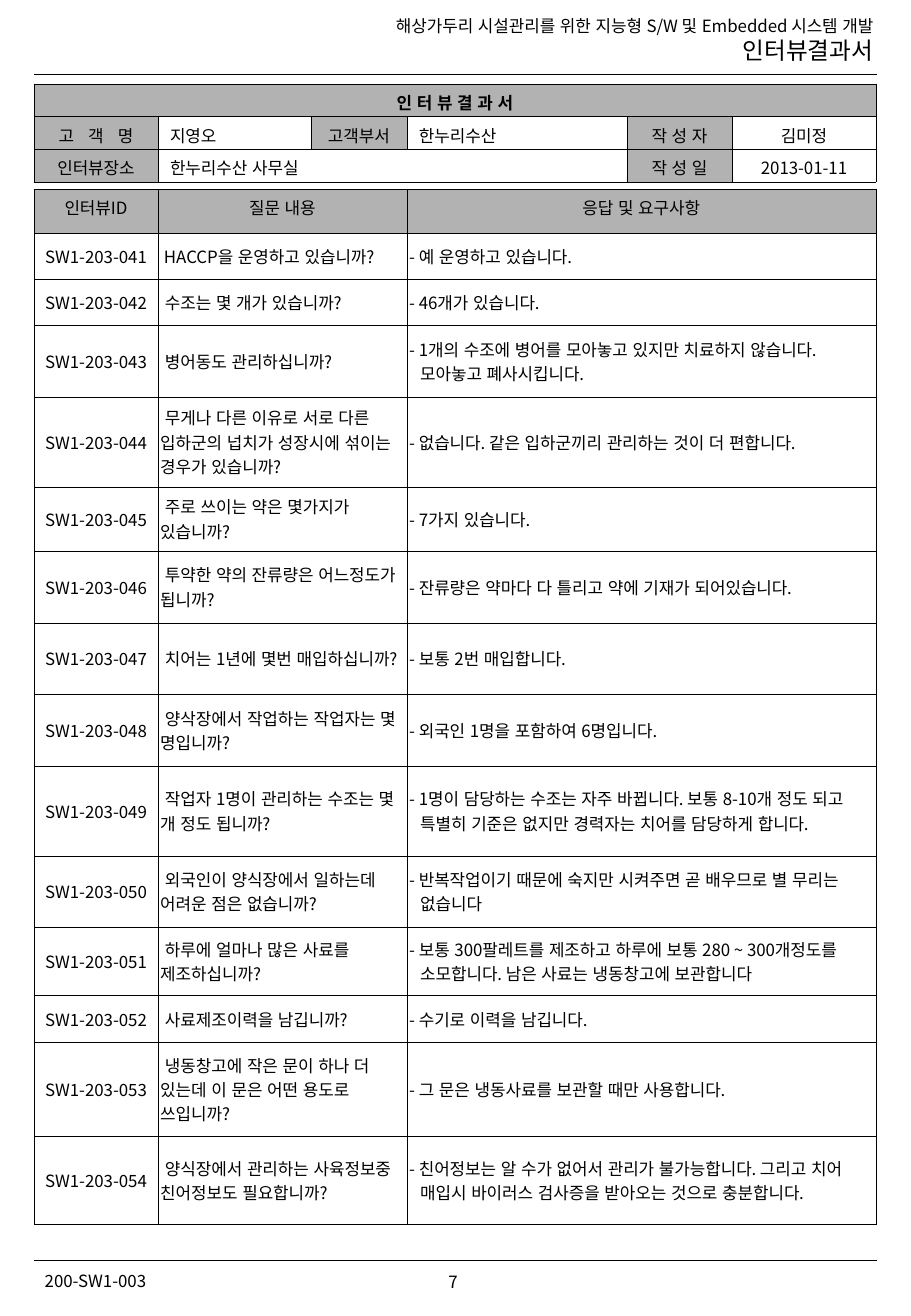
from lxml import etree
from pptx import Presentation
from pptx.dml.color import RGBColor
from pptx.enum.lang import MSO_LANGUAGE_ID
from pptx.enum.shapes import MSO_CONNECTOR
from pptx.enum.text import MSO_ANCHOR, MSO_AUTO_SIZE, PP_ALIGN
from pptx.oxml.ns import qn
from pptx.util import Inches, Pt

LEFT, CENTER, RIGHT = PP_ALIGN.LEFT, PP_ALIGN.CENTER, PP_ALIGN.RIGHT
TOP, MIDDLE = MSO_ANCHOR.TOP, MSO_ANCHOR.MIDDLE
KOREAN = MSO_LANGUAGE_ID.KOREAN
STRAIGHT = MSO_CONNECTOR.STRAIGHT
NO_AUTO_SIZE = MSO_AUTO_SIZE.NONE
FONT, BLACK, GRAY = "Noto Sans CJK KR", "000000", "B2B2B2"


def write(para, text, align, size=10, bold=False, before=0):
    para.alignment = align
    para.space_before = Pt(before)
    # Keep closing punctuation inside the text area
    para._p.get_or_add_pPr().set("hangingPunct", "0")
    span = para.add_run()
    span.text = text
    span.font.color.rgb = RGBColor.from_string(BLACK)
    looks = {"name": FONT, "size": Pt(size), "bold": bold, "language_id": KOREAN}
    for name, value in looks.items():
        setattr(span.font, name, value)
    etree.SubElement(span.font._element, qn("a:ea"), typeface=FONT)


def format_cell(cell, shaded, anchor, side_margin):
    layout = {"vertical_anchor": anchor,
              "margin_left": Inches(side_margin), "margin_right": Inches(side_margin),
              "margin_top": Inches(0.05), "margin_bottom": Inches(0.05)}
    for name, value in layout.items():
        setattr(cell, name, value)
    properties = cell._tc.get_or_add_tcPr()
    for side in ("lnL", "lnR", "lnT", "lnB"):
        border = etree.SubElement(properties, qn("a:" + side), w=str(Pt(0.11)))
        paint = etree.SubElement(border, qn("a:solidFill"))
        etree.SubElement(paint, qn("a:srgbClr"), val=BLACK)
    if shaded:
        cell.fill.solid()
        cell.fill.fore_color.rgb = RGBColor.from_string(GRAY)
    else:
        cell.fill.background()


deck = Presentation()
deck.slide_width, deck.slide_height = Inches(7.5), Inches(10.84)
page = deck.slides.add_slide(deck.slide_layouts[5])

# Header
header = page.shapes.title
place = {"left": 0.28, "top": 0.08, "width": 7.01, "height": 0.5}
for name, value in place.items():
    setattr(header, name, Inches(value))
frame = header.text_frame
frame.auto_size, frame.vertical_anchor, frame.word_wrap = NO_AUTO_SIZE, TOP, True
write(frame.paragraphs[0], "해상가두리 시설관리를 위한 지능형 S/W 및 Embedded 시스템 개발", RIGHT)
write(frame.add_paragraph(), "인터뷰결과서", RIGHT, size=14)

# Rules under the header and above the footer
for height in (0.61, 10.38):
    rule = page.shapes.add_connector(
        STRAIGHT, Inches(0.28), Inches(height), Inches(7.22), Inches(height))
    rule.line.color.rgb = RGBColor.from_string(BLACK)
    rule.line.width = Pt(0.25)
    etree.SubElement(rule._element.spPr, qn("a:effectLst"))

# Footer: document number and page number
footers = [
    ("200-SW1-003", (0.26, 10.42, 1.05, 0.27), TOP, 2.5),
    ("7", (3.32, 10.34, 0.82, 0.44), MIDDLE, 0),
]
for text, bounds, anchor, before in footers:
    box = page.shapes.add_textbox(*[Inches(length) for length in bounds])
    box.text_frame.word_wrap = False
    box.text_frame.vertical_anchor = anchor
    write(box.text_frame.paragraphs[0], text, CENTER, before=before)

# Interview questions and answers
interviews = [
    ("HACCP을 운영하고 있습니까?", "예 운영하고 있습니다.", 0.38),
    ("수조는 몇 개가 있습니까?", "46개가 있습니다.", 0.38),
    ("병어동도 관리하십니까?",
     "1개의 수조에 병어를 모아놓고 있지만 치료하지 않습니다. 모아놓고 폐사시킵니다.", 0.59),
    ("무게나 다른 이유로 서로 다른 입하군의 넙치가 성장시에 섞이는 경우가 있습니까?",
     "없습니다. 같은 입하군끼리 관리하는 것이 더 편합니다.", 0.74),
    ("주로 쓰이는 약은 몇가지가 있습니까?", "7가지 있습니다.", 0.53),
    ("투약한 약의 잔류량은 어느정도가 됩니까?",
     "잔류량은 약마다 다 틀리고 약에 기재가 되어있습니다.", 0.59),
    ("치어는 1년에 몇번 매입하십니까?", "보통 2번 매입합니다.", 0.59),
    ("양삭장에서 작업하는 작업자는 몇 명입니까?", "외국인 1명을 포함하여 6명입니다.", 0.59),
    ("작업자 1명이 관리하는 수조는 몇 개 정도 됩니까?",
     "1명이 담당하는 수조는 자주 바뀝니다. 보통 8-10개 정도 되고 "
     "특별히 기준은 없지만 경력자는 치어를 담당하게 합니다.", 0.74),
    ("외국인이 양식장에서 일하는데 어려운 점은 없습니까?",
     "반복작업이기 때문에 숙지만 시켜주면 곧 배우므로 별 무리는 없습니다", 0.59),
    ("하루에 얼마나 많은 사료를 제조하십니까?",
     "보통 300팔레트를 제조하고 하루에 보통 280 ~ 300개정도를 소모합니다. "
     "남은 사료는 냉동창고에 보관합니다", 0.56),
    ("사료제조이력을 남깁니까?", "수기로 이력을 남깁니다.", 0.39),
    ("냉동창고에 작은 문이 하나 더 있는데 이 문은 어떤 용도로 쓰입니까?",
     "그 문은 냉동사료를 보관할 때만 사용합니다.", 0.77),
    ("양식장에서 관리하는 사육정보중 친어정보도 필요합니까?",
     "친어정보는 알 수가 없어서 관리가 불가능합니다. 그리고 치어 매입시 "
     "바이러스 검사증을 받아오는 것으로 충분합니다.", 0.73),
]
rows = [("인터뷰ID", "질문 내용", "응답 및 요구사항", 0.36)]
for number, (question, answer, height) in enumerate(interviews, start=41):
    rows.append((f"SW1-203-{number:03}", " " + question, "- " + answer, height))

interview_table = page.shapes.add_table(
    len(rows), 3, Inches(0.28), Inches(1.56), Inches(6.93), Inches(8.51)).table
interview_table.first_row = interview_table.horz_banding = False
for column, width in zip(interview_table.columns, (1.02, 2.05, 3.86)):
    column.width = Inches(width)
for row, (*texts, height) in enumerate(rows):
    interview_table.rows[row].height = Inches(height)
    for column, text in enumerate(texts):
        heading = row == 0
        cell = interview_table.cell(row, column)
        format_cell(cell, heading, TOP if heading else MIDDLE, 0.02)
        para = cell.text_frame.paragraphs[0]
        write(para, text, CENTER if heading or column == 0 else LEFT)
        if column == 2 and not heading:
            # Wrapped answers hang by the width of the dash
            hang = Inches(0.09 if len(text) > 35 else 0.19)
            indents = para._p.get_or_add_pPr()
            indents.set("marL", str(hang))
            indents.set("indent", str(-hang))

# Customer and author details
details = [
    ["인 터 뷰 결 과 서", "", "", "", "", ""],
    ["고   객   명", "지영오", "고객부서", "한누리수산", "작 성 자", "김미정"],
    ["인터뷰장소", "한누리수산 사무실", "", "", "작 성 일", "2013-01-11"],
]
detail_table = page.shapes.add_table(
    3, 6, Inches(0.28), Inches(0.69), Inches(6.93), Inches(0.81)).table
detail_table.first_row = detail_table.horz_banding = False
for column, width in zip(detail_table.columns, (1.02, 1.26, 0.79, 1.81, 0.87, 1.18)):
    column.width = Inches(width)
detail_table.cell(0, 0).merge(detail_table.cell(0, 5))
detail_table.cell(2, 1).merge(detail_table.cell(2, 3))
for row, texts in enumerate(details):
    detail_table.rows[row].height = Inches(0.27)
    for column, text in enumerate(texts):
        cell = detail_table.cell(row, column)
        label = row == 0 or (column % 2 == 0 and text != "")
        format_cell(cell, label, MIDDLE, 0.1)
        if text:
            align = CENTER if label or column == 5 else LEFT
            write(cell.text_frame.paragraphs[0], text, align, bold=row == 0, before=2.5)

deck.save("out.pptx")
